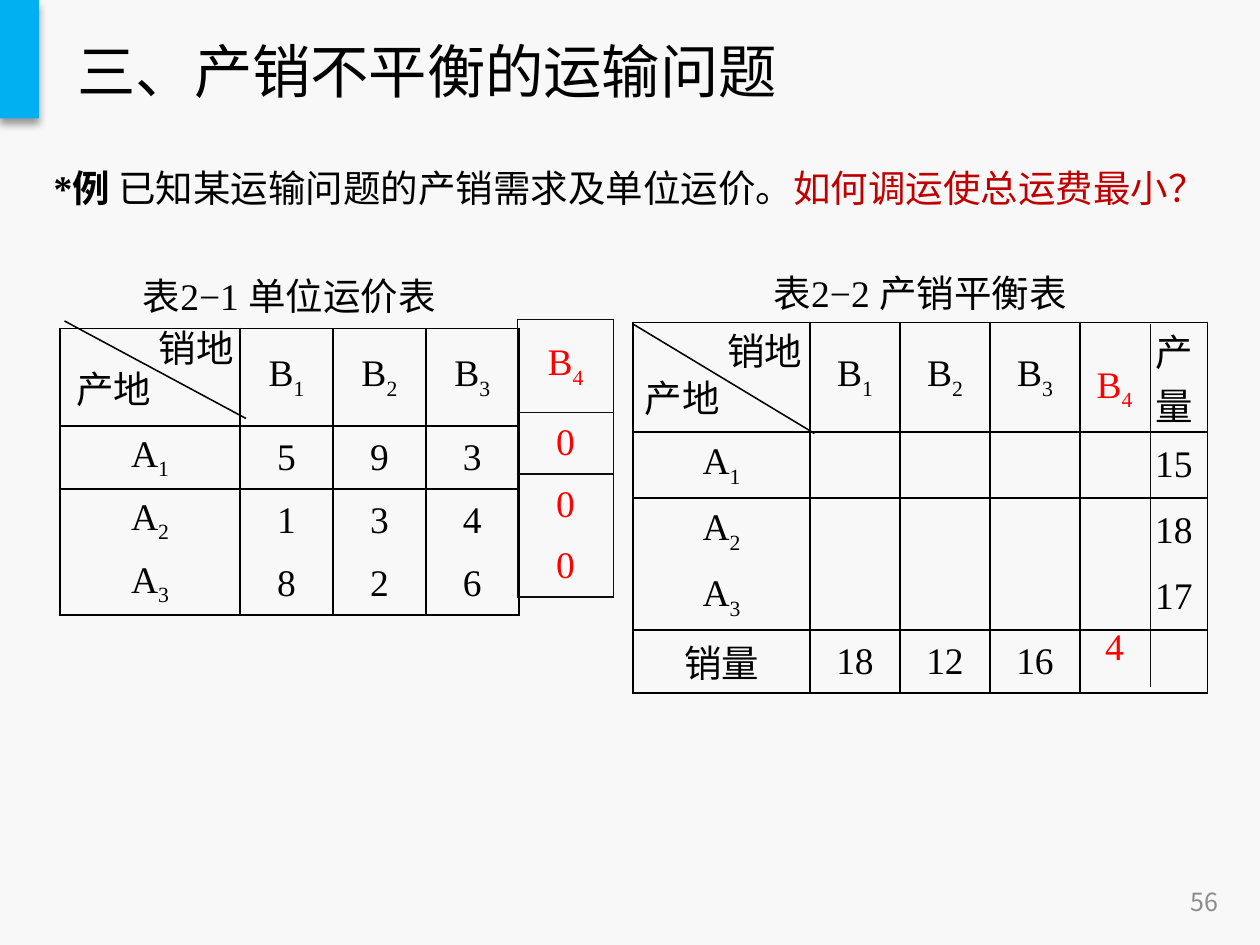
from lxml import etree
from pptx import Presentation
from pptx.dml.color import RGBColor
from pptx.enum.shapes import MSO_CONNECTOR, MSO_SHAPE
from pptx.enum.text import MSO_ANCHOR, PP_ALIGN
from pptx.oxml import parse_xml
from pptx.oxml.ns import nsdecls, qn
from pptx.util import Inches, Pt

LEFT, CENTER, RIGHT = PP_ALIGN.LEFT, PP_ALIGN.CENTER, PP_ALIGN.RIGHT
JUSTIFY = PP_ALIGN.JUSTIFY
TOP, MIDDLE = MSO_ANCHOR.TOP, MSO_ANCHOR.MIDDLE
RECTANGLE, STRAIGHT = MSO_SHAPE.RECTANGLE, MSO_CONNECTOR.STRAIGHT
SERIF, SANS = "Times New Roman", "Noto Sans CJK SC"
NO_GRID_STYLE = "{2D5ABB26-0587-4C30-8999-92F81FD0307C}"
COLORS = {
    "background": "F8F8F8", "accent": "00B0F0", "text": "000000",
    "page number": "8C8C8C", "question": "C00000", "added": "FF0000",
    "added border": "0D0D0D",
}


def rgb(name):
    """Return the named colour."""
    return RGBColor.from_string(COLORS[name])


def style_paragraph(para, size=18, face=SERIF, color="text", align=LEFT):
    """Set the font and alignment of a paragraph."""
    para.alignment = align
    para.font.size = Pt(size)
    para.font.name = face
    para.font.color.rgb = rgb(color)


def add_text(page, place, text, anchor=TOP, **style):
    """Add a wrapped text box with one paragraph and return the paragraph."""
    box = page.shapes.add_textbox(*map(Inches, place))
    box.text_frame.word_wrap = True
    box.text_frame.vertical_anchor = anchor
    para = box.text_frame.paragraphs[0]
    para.text = text
    style_paragraph(para, **style)
    return para


def add_accent(page):
    """Add the corner block with its soft shadow."""
    block = page.shapes.add_shape(RECTANGLE, 0, 0, Inches(0.26), Inches(0.79))
    block.fill.solid()
    block.fill.fore_color.rgb = rgb("accent")
    block.line.fill.background()
    block.shadow.inherit = False
    effects = block._element.spPr.find(qn("a:effectLst"))
    effects.append(parse_xml(
        f'<a:outerShdw {nsdecls("a")} blurRad="{Pt(4)}" dist="{Pt(3)}" '
        'dir="5400000" rotWithShape="0"><a:srgbClr val="000000">'
        '<a:alpha val="40000"/></a:srgbClr></a:outerShdw>'))


def add_example(page):
    """Add the statement of the example and its question."""
    para = add_text(page, (0.26, 0.99, 7.97, 0.6), "", align=JUSTIFY)
    para.line_spacing = 1.2
    for text, bold, color in (
            ("*例 ", True, "text"),
            ("已知某运输问题的产销需求及单位运价。", False, "text"),
            ("如何调运使总运费最小？", False, "question")):
        span = para.add_run()
        span.text = text
        span.font.bold = bold
        span.font.color.rgb = rgb(color)


def fill_cell(cell, text, color, align):
    """Write lines of text, with the part after an underscore as subscript."""
    cell.vertical_anchor = MIDDLE
    cell.margin_top = cell.margin_bottom = 0
    for index, line in enumerate(text.split("\n")):
        frame = cell.text_frame
        para = frame.add_paragraph() if index else frame.paragraphs[0]
        base, _, subscript = line.partition("_")
        if base:
            para.add_run().text = base
        if subscript:
            span = para.add_run()
            span.text = subscript
            span._r.get_or_add_rPr().set("baseline", "-25000")
        style_paragraph(para, color=color, align=align)


def set_borders(cell, sides, color):
    """Draw one-point lines on the given sides of a cell."""
    properties = cell._tc.get_or_add_tcPr()
    for side in "LRTB":
        if side in sides:
            line = etree.SubElement(properties, qn(f"a:ln{side}"), w=str(Pt(1)))
            fill = etree.SubElement(line, qn("a:solidFill"))
            etree.SubElement(fill, qn("a:srgbClr"), val=COLORS[color])
    cell.fill.background()


def add_grid(page, place, columns, heights, rows, borders, color="text",
             border_color="text", last_align=CENTER):
    """Add a table whose borders are given as sides for each row."""
    left, top = place
    frame = page.shapes.add_table(
        len(rows), len(columns), Inches(left), Inches(top),
        Inches(sum(columns)), Inches(sum(heights)))
    table = frame.table
    table.first_row = table.horz_banding = False
    table._tbl.tblPr.find(qn("a:tableStyleId")).text = NO_GRID_STYLE
    for column, width in zip(table.columns, columns):
        column.width = Inches(width)
    for row, height, texts, sides in zip(table.rows, heights, rows, borders):
        row.height = Inches(height)
        for index, (cell, text) in enumerate(zip(row.cells, texts)):
            is_last = index == len(columns) - 1
            fill_cell(cell, text, color, last_align if is_last else CENTER)
            set_borders(cell, sides, border_color)
    return table


def merge_caption(table):
    """Merge the first row into a caption."""
    table.cell(0, 0).merge(table.cell(0, len(table.columns) - 1))


def add_corner(page, start, end, market, origin):
    """Add the diagonal of a header cell and its two labels."""
    diagonal = page.shapes.add_connector(STRAIGHT, *map(Inches, start + end))
    diagonal.line.color.rgb = rgb("text")
    diagonal.line.width = Pt(0.75)
    etree.SubElement(diagonal._element.spPr, qn("a:effectLst"))
    add_text(page, market + (0.72, 0.46), "销地")
    add_text(page, origin + (1.11, 0.46), "产地")


def main():
    """Build the slide on the unbalanced transportation problem."""
    deck = Presentation()
    deck.slide_width, deck.slide_height = Inches(8.4), Inches(6.3)
    page = deck.slides.add_slide(deck.slide_layouts[6])
    page.background.fill.solid()
    page.background.fill.fore_color.rgb = rgb("background")

    add_accent(page)
    add_text(page, (0.42, 0.16, 7.56, 0.61), "三、产销不平衡的运输问题",
             MIDDLE, size=28, face=SANS)
    add_text(page, (6.26, 5.84, 1.96, 0.34), "56", MIDDLE, size=12,
             face=SANS, color="page number", align=RIGHT)
    add_example(page)

    body = ["LRT", "LR", "LRB"]
    costs = add_grid(
        page, (0.4, 1.73), [1.2] + [0.62] * 3, [0.46, 0.65] + [0.42] * 3,
        [["表2−1 单位运价表", "", "", ""],
         ["", "B_1", "B_2", "B_3"],
         ["A_1", "5", "9", "3"],
         ["A_2", "1", "3", "4"],
         ["A_3", "8", "2", "6"]],
        ["B", "LRTB"] + body)
    merge_caption(costs)
    add_corner(page, (0.43, 2.14), (1.64, 2.79), (0.96, 2.12), (0.41, 2.39))

    balance = add_grid(
        page, (4.22, 1.73), [1.18] + [0.6] * 3 + [0.85],
        [0.42, 0.73] + [0.44] * 3 + [0.42],
        [["表2−2 产销平衡表", "", "", "", ""],
         ["", "B_1", "B_2", "B_3", "产\n量"],
         ["A_1", "", "", "", "15"],
         ["A_2", "", "", "", "18"],
         ["A_3", "", "", "", "17"],
         ["销量", "18", "12", "16", ""]],
        ["B", "LRTB"] + body + ["LRTB"], last_align=RIGHT)
    merge_caption(balance)
    add_corner(page, (4.22, 2.16), (5.43, 2.89), (4.75, 2.14), (4.2, 2.45))

    add_grid(page, (3.45, 2.13), [0.64], [0.62] + [0.41] * 3,
             [["B_4"], ["0"], ["0"], ["0"]], ["LRTB"] + body,
             "added", "added border")
    add_grid(page, (7.19, 2.16), [0.48], [0.86] + [0.52] * 3,
             [["B_4"], [""], [""], ["4"]], ["R"] * 4,
             "added", "added border")
    deck.save("out.pptx")


if __name__ == "__main__":
    main()
